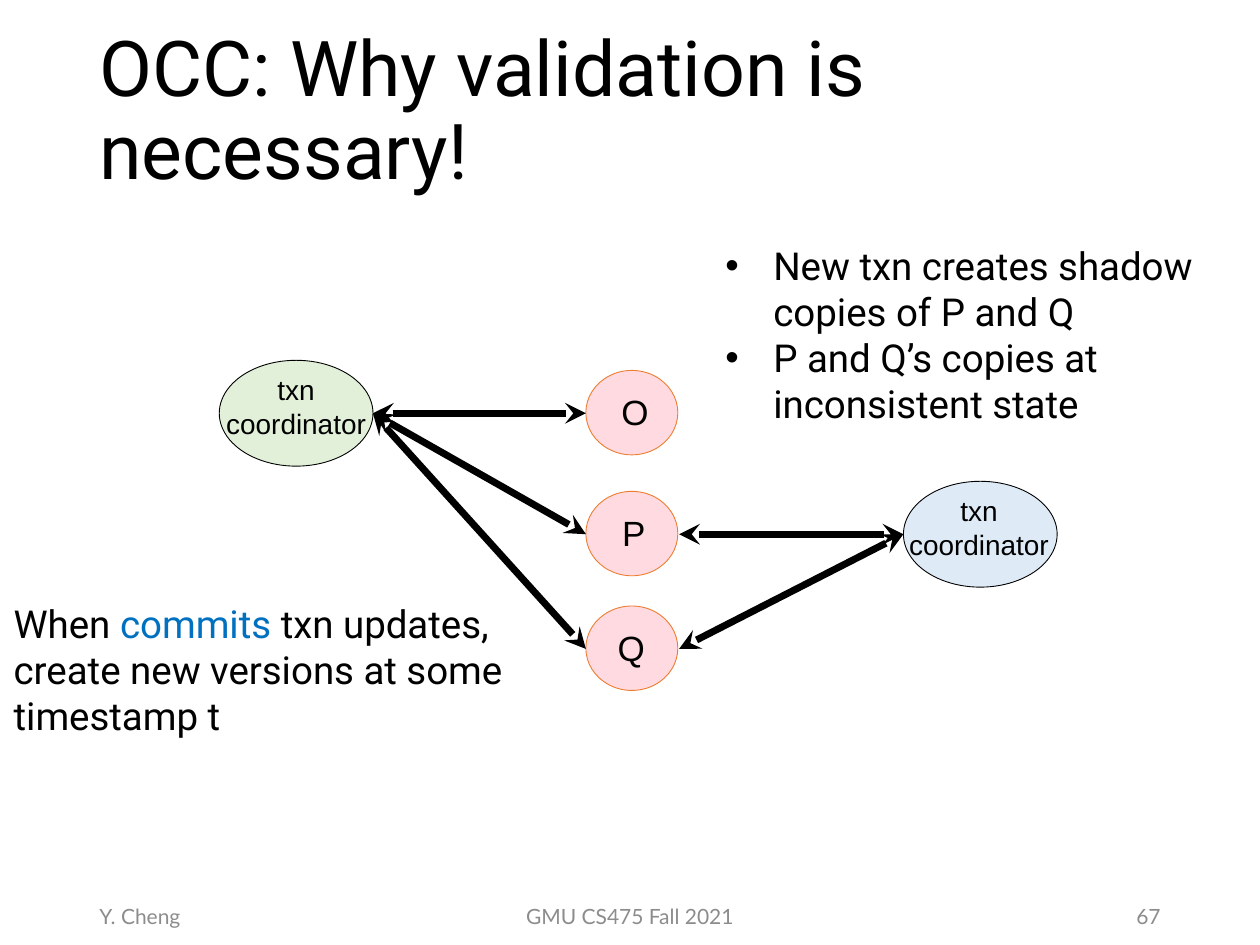
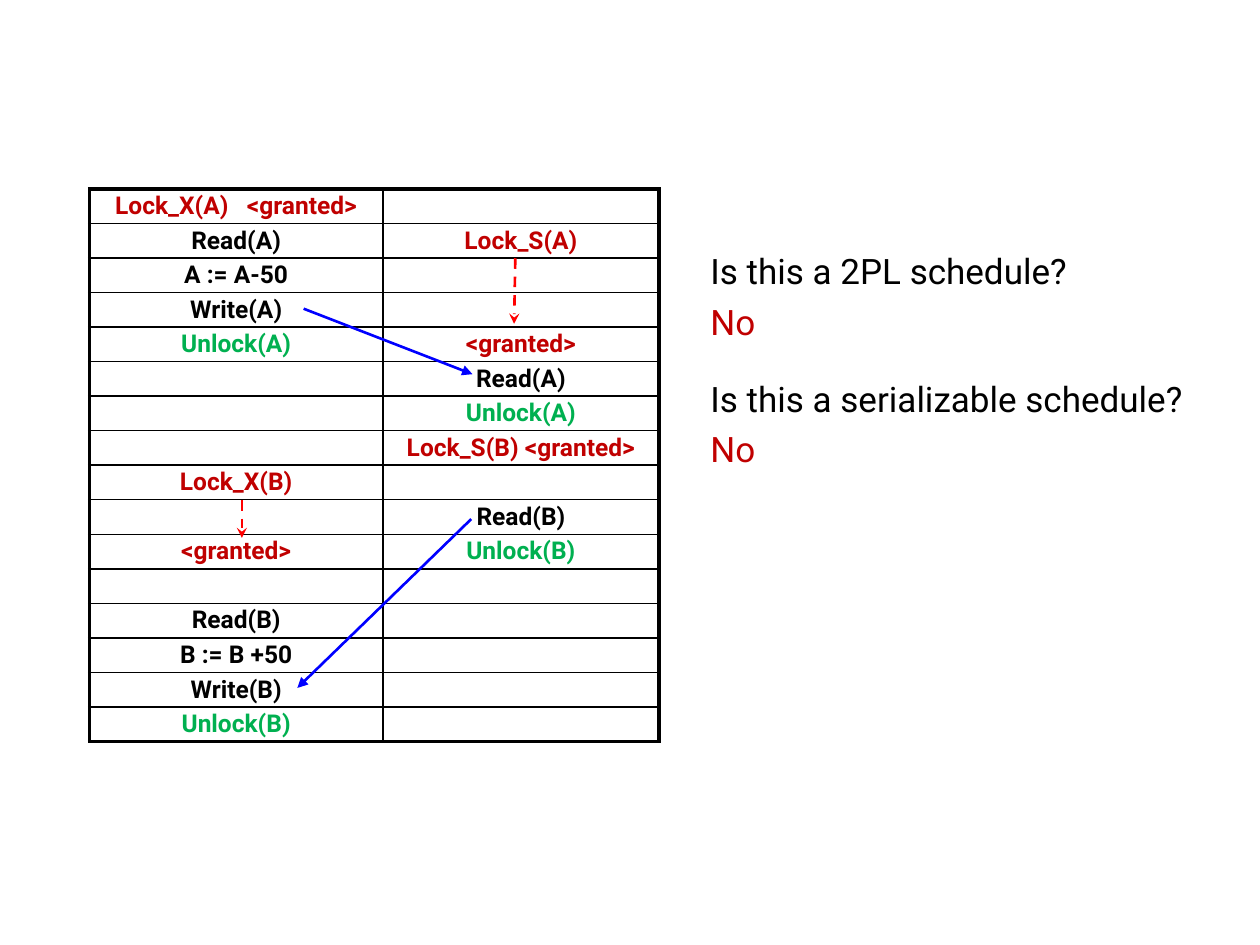
from lxml import etree
from pptx import Presentation
from pptx import util as u
from pptx.dml.color import RGBColor
from pptx.enum import dml, shapes, text
from pptx.oxml import ns

color = RGBColor.from_string
BLACK, GRAY, RED, GREEN = "000000", "8C8C8C", "C00000", "00B050"
PINK, ORANGE, BLUE = "FFDAE0", "ED7D31", "0070C0"
LEFT, CENTER, RIGHT = text.PP_ALIGN.LEFT, text.PP_ALIGN.CENTER, text.PP_ALIGN.RIGHT
TOP, MIDDLE = text.MSO_ANCHOR.TOP, text.MSO_ANCHOR.MIDDLE


def write(frame, paragraphs, size=22, font="Roboto", fill=BLACK, bold=False, align=LEFT,
          anchor=TOP, spacing=None, before=(), bullet=None):
    frame.word_wrap = True
    frame.vertical_anchor = anchor
    for index, runs in enumerate(paragraphs):
        paragraph = frame.paragraphs[0] if index == 0 else frame.add_paragraph()
        paragraph.alignment = align
        if spacing:
            paragraph.line_spacing = spacing
        if before:
            paragraph.space_before = u.Pt(before[index])
        if bullet:
            properties = paragraph._p.get_or_add_pPr()
            properties.set("marL", str(u.Inches(0.38)))
            properties.set("indent", str(u.Inches(-0.38)))
            etree.SubElement(properties, ns.qn("a:buFont")).set("typeface", "Arial")
            etree.SubElement(properties, ns.qn("a:buChar")).set("char", bullet)
        for content, run_fill in [(runs, fill)] if isinstance(runs, str) else runs:
            run = paragraph.add_run()
            run.text = content
            run.font.name = font
            run.font.size = u.Pt(size)
            run.font.bold = bold
            run.font.color.rgb = color(run_fill)


def add_arrow(slide, start, end, fill, width, tail, head=None, dash=None):
    arrow = slide.shapes.add_connector(shapes.MSO_CONNECTOR.STRAIGHT, *map(u.Inches, start + end))
    arrow.line.color.rgb = color(fill)
    arrow.line.width = u.Pt(width)
    if dash:
        arrow.line.dash_style = dash
    outline = arrow.line._get_or_add_ln()
    if head:
        etree.SubElement(outline, ns.qn("a:headEnd")).set("type", head)
    etree.SubElement(outline, ns.qn("a:tailEnd")).set("type", tail)
    etree.SubElement(arrow._element.spPr, ns.qn("a:effectLst"))


presentation = Presentation()
presentation.slide_width = u.Inches(10)
presentation.slide_height = u.Inches(7.5)
blank = presentation.slide_layouts[6]

slide = presentation.slides.add_slide(blank)
title = slide.shapes.add_textbox(*map(u.Inches, (0.69, 0.17, 8.62, 1.45)))
write(title.text_frame, ["OCC: Why validation is necessary!"], size=44, anchor=MIDDLE, spacing=0.9)

for left, width, content, align in [
    (0.69, 2.25, "Y. Cheng", LEFT),
    (3.31, 3.38, "GMU CS475 Fall 2021", CENTER),
    (7.06, 2.25, "67", RIGHT),
]:
    footer = slide.shapes.add_textbox(*map(u.Inches, (left, 7.07, width, 0.4)))
    write(footer.text_frame, [content], size=12, font="Lato", fill=GRAY, align=align, anchor=MIDDLE)

coordinator = (1.22, 0.84)
item = (0.73, 0.67)
for position, extent, fill, outline, label, label_box, size in [
    ((1.74, 2.86), coordinator, "E2F0D9", BLACK, "txn coordinator", (1.66, 2.91, 1.38, 0.64), 16),
    ((7.17, 3.82), coordinator, "DEEBF7", BLACK, "txn coordinator", (7.08, 3.87, 1.38, 0.64), 16),
    ((4.65, 2.94), item, PINK, ORANGE, "O", (4.82, 3.05, 0.44, 0.44), 20),
    ((4.65, 3.9), item, PINK, ORANGE, "P", (4.81, 4.01, 0.44, 0.44), 20),
    ((4.65, 4.81), item, PINK, ORANGE, "Q", (4.79, 4.92, 0.44, 0.44), 20),
]:
    node = slide.shapes.add_shape(shapes.MSO_SHAPE.OVAL, *map(u.Inches, position + extent))
    node.shadow.inherit = False
    node.fill.solid()
    node.fill.fore_color.rgb = color(fill)
    node.line.color.rgb = color(outline)
    node.line.width = u.Pt(0.5)
    caption = slide.shapes.add_textbox(*map(u.Inches, label_box))
    write(caption.text_frame, [label], size=size, font="Arial", align=CENTER)

commit_note = slide.shapes.add_textbox(*map(u.Inches, (0.01, 4.71, 4.48, 1.21)))
write(commit_note.text_frame, [
    [("When ", BLACK), ("commits ", BLUE), ("txn updates,", BLACK)],
    "create new versions at some timestamp t",
])
copies_note = slide.shapes.add_textbox(*map(u.Inches, (5.66, 1.87, 4.34, 1.58)))
write(copies_note.text_frame, [
    "New txn creates shadow copies of P and Q",
    "P and Q’s copies at inconsistent state",
], bullet="•")

for start, ends in [
    ((2.96, 3.28), [(4.65, 3.28), (4.65, 4.24), (4.65, 5.15)]),
    ((7.17, 4.24), [(5.39, 4.24), (5.39, 5.15)]),
]:
    for end in ends:
        add_arrow(slide, start, end, BLACK, 4, tail="stealth", head="stealth")

slide = presentation.slides.add_slide(blank)
schedule = [
    ("Lock_X(A)   <granted>", ""),
    ("Read(A)", "Lock_S(A)"),
    ("A := A-50", ""),
    ("Write(A)", ""),
    ("Unlock(A)", "<granted>"),
    ("", "Read(A)"),
    ("", "Unlock(A)"),
    ("", "Lock_S(B) <granted>"),
    ("Lock_X(B)", ""),
    ("", "Read(B)"),
    ("<granted>", "Unlock(B)"),
    ("", ""),
    ("Read(B)", ""),
    ("B := B +50", ""),
    ("Write(B)", ""),
    ("Unlock(B)", ""),
]
last_row = len(schedule) - 1
frame = slide.shapes.add_table(len(schedule), 2, *map(u.Inches, (0.71, 1.5, 4.52, 4.39)))
table = frame.table
table.first_row = table.horz_banding = False
table.columns[0].width = u.Inches(2.33)
table.columns[1].width = u.Inches(2.19)
for row, steps in enumerate(schedule):
    for column, step in enumerate(steps):
        cell = table.cell(row, column)
        cell.margin_left = cell.margin_right = cell.margin_top = cell.margin_bottom = 0
        cell.vertical_anchor = MIDDLE
        for side, outer in [("L", column == 0), ("R", column == 1),
                            ("T", row == 0), ("B", row == last_row)]:
            border = etree.SubElement(cell._tc.get_or_add_tcPr(), ns.qn("a:ln" + side))
            border.set("w", str(u.Pt(2.25 if outer else 1)))
            solid = etree.SubElement(border, ns.qn("a:solidFill"))
            etree.SubElement(solid, ns.qn("a:srgbClr")).set("val", BLACK)
        cell.fill.background()
        if step:
            fill = GREEN if "Unlock" in step else RED if "Lock" in step or "<" in step else BLACK
            write(cell.text_frame, [step], size=14, fill=fill, bold=True, align=CENTER)
        else:
            ending = etree.SubElement(cell.text_frame.paragraphs[0]._p, ns.qn("a:endParaRPr"))
            ending.set("sz", "1400")

questions = slide.shapes.add_textbox(*map(u.Inches, (5.54, 1.92, 4, 2.98)))
questions.text_frame.margin_top = questions.text_frame.margin_bottom = u.Inches(0.1)
write(questions.text_frame, [
    "Is this a 2PL schedule?",
    [("No", RED)],
    "Is this a serializable schedule?",
    [("No", RED)],
], size=20, spacing=0.9, before=(7.2, 7.2, 22.3, 7.2))

for start, end in [((4.09, 2.05), (4.08, 2.57)), ((1.92, 3.97), (1.92, 4.27))]:
    add_arrow(slide, start, end, "FF0000", 1.5, tail="stealth", dash=dml.MSO_LINE.DASH)
for start, end in [((2.41, 2.45), (3.75, 2.97)), ((3.74, 4.12), (2.36, 5.46))]:
    add_arrow(slide, start, end, "0000FF", 1.5, tail="triangle")

presentation.save("out.pptx")
